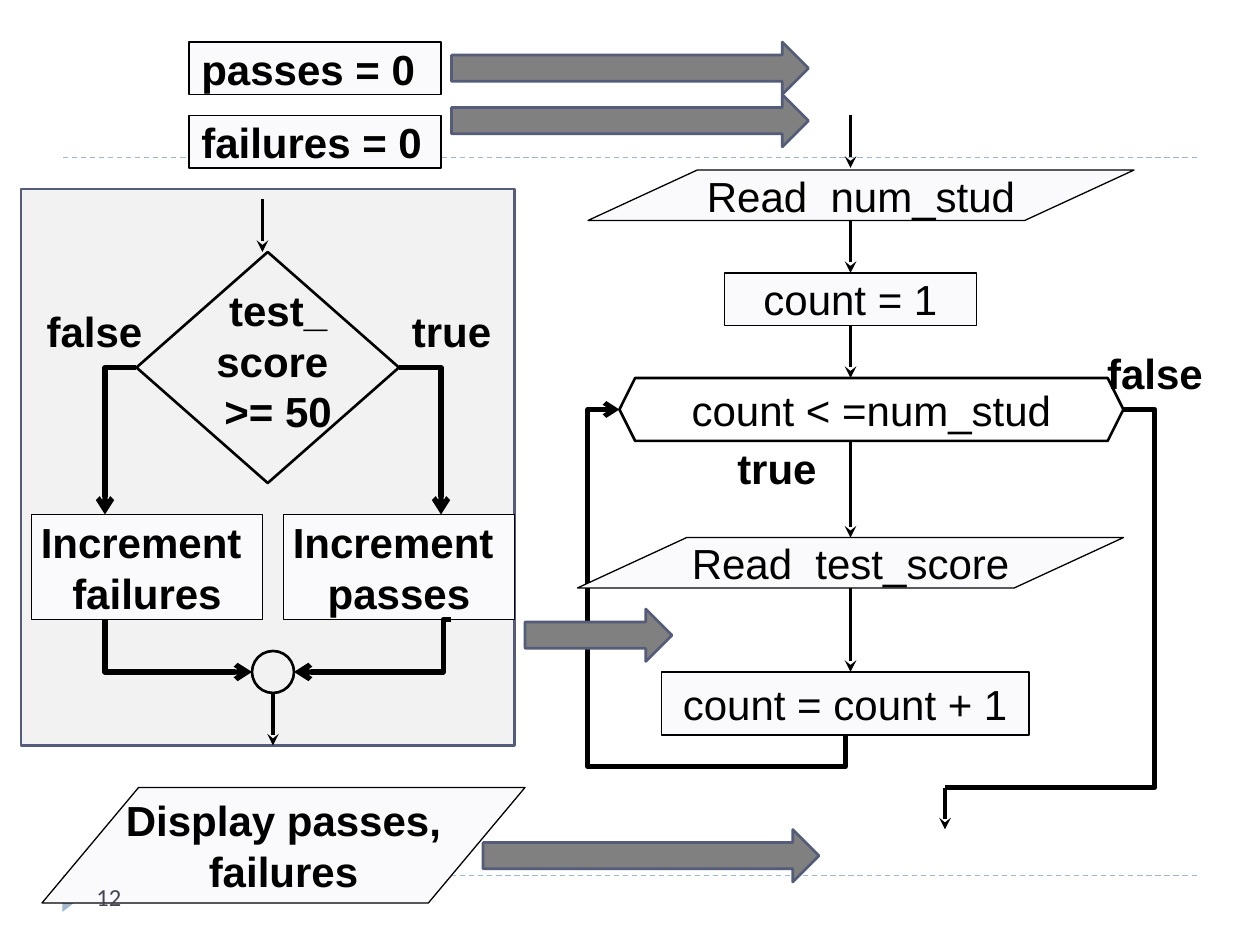
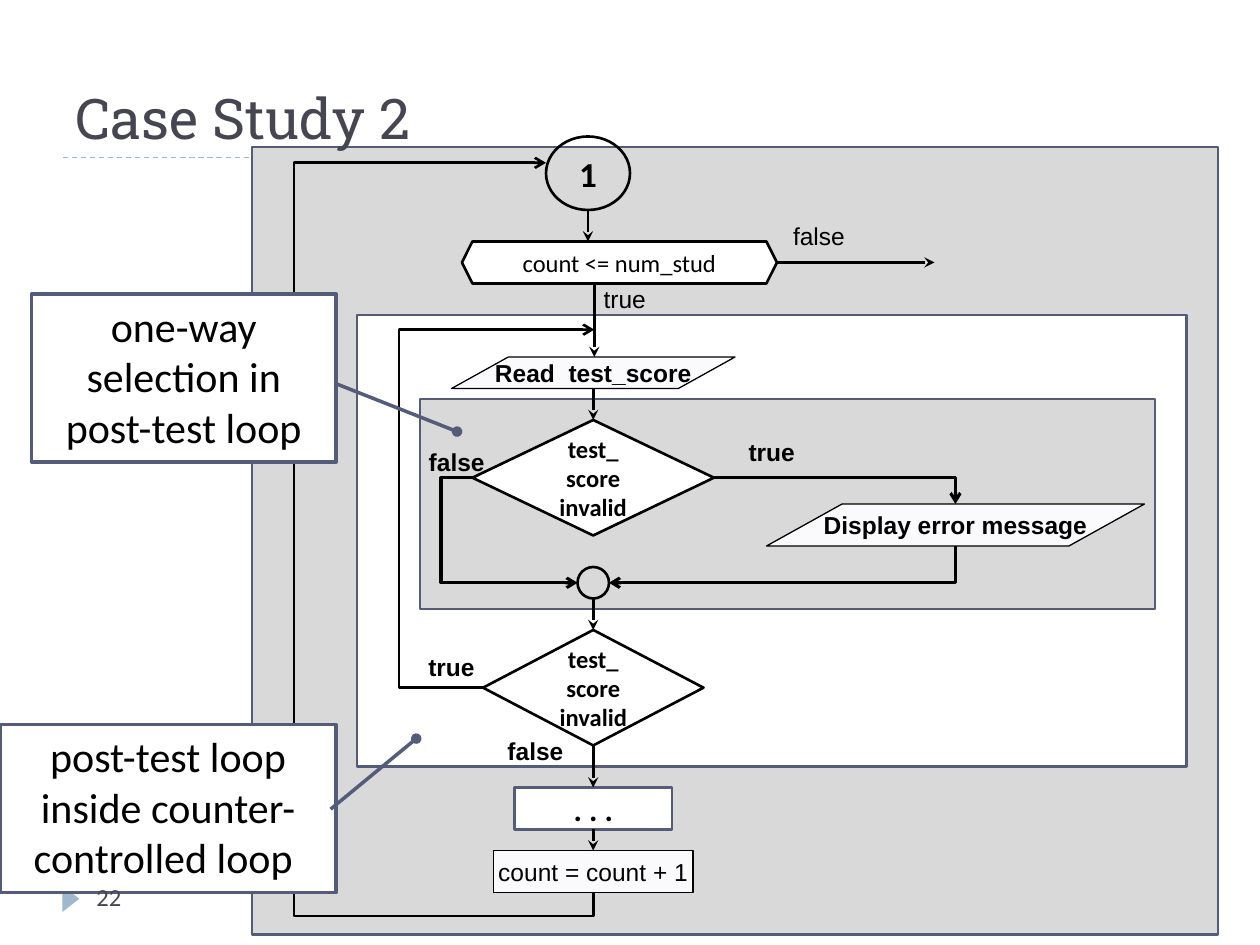
from lxml import etree
from pptx import Presentation
from pptx.dml.color import RGBColor
from pptx.enum.dml import MSO_LINE
from pptx.enum.shapes import MSO_CONNECTOR, MSO_SHAPE
from pptx.enum.text import MSO_ANCHOR, MSO_AUTO_SIZE, PP_ALIGN
from pptx.oxml.ns import qn
from pptx.util import Pt

PX = 7620  # 120 px to the inch
SLIDE_WIDTH, SLIDE_HEIGHT = 1200, 900
HANGING = 342900

BLACK = RGBColor(0x00, 0x00, 0x00)
WHITE = RGBColor(0xFF, 0xFF, 0xFF)
PALE = RGBColor(0xFA, 0xFA, 0xFC)
PANEL_LIGHT = RGBColor(0xF2, 0xF2, 0xF2)
PANEL_GREY = RGBColor(0xD9, 0xD9, 0xD9)
ARROW_GREY = RGBColor(0x80, 0x80, 0x80)
SLATE = RGBColor(0x54, 0x5C, 0x79)
INK = RGBColor(0x46, 0x46, 0x53)
SKY = RGBColor(0x9F, 0xB8, 0xCD)

BIG = {"name": "Arial", "size": Pt(24), "bold": False}
BIG_BOLD = BIG | {"bold": True}
SMALL = BIG | {"size": Pt(14)}
SMALL_BOLD = SMALL | {"bold": True}
CALIBRI = {"name": "Calibri", "size": Pt(14), "bold": False}
CALIBRI_BOLD = CALIBRI | {"bold": True}
CALLOUT_FONT = CALIBRI | {"size": Pt(24)}
TITLE_FONT = {"name": "Roboto Slab", "size": Pt(32), "bold": False}


def emu(*lengths):
    return [round(length * PX) for length in lengths]


def write(shape, text, font, color=BLACK, align=PP_ALIGN.CENTER,
          anchor=MSO_ANCHOR.MIDDLE, wrap=True):
    """Fill a shape with text; unwrapped text gets a hanging indent."""
    frame = shape.text_frame
    frame.text = text
    frame.word_wrap = wrap
    frame.vertical_anchor = anchor
    for paragraph in frame.paragraphs:
        paragraph.alignment = align
        if not wrap:
            properties = paragraph._p.get_or_add_pPr()
            properties.set("marL", str(HANGING))
            properties.set("indent", str(-HANGING))
        for run in paragraph.runs:
            for name, value in font.items():
                setattr(run.font, name, value)
            run.font.color.rgb = color


def add_line_end(shape, kind):
    line = shape.line._get_or_add_ln()
    etree.SubElement(line, qn("a:tailEnd"), type=kind)


class Region:
    """Draws parts at px positions relative to its own corner."""

    def __init__(self, slide, left, top):
        self.shapes = slide.shapes
        self.left, self.top = left, top

    def place(self, x, y):
        return self.left + x, self.top + y

    def shape(self, kind, box, fill=None, line=None, width=1.5):
        x, y, w, h = box
        shape = self.shapes.add_shape(kind, *emu(*self.place(x, y), w, h))
        shape.shadow.inherit = False
        if fill is None:
            shape.fill.background()
        else:
            shape.fill.solid()
            shape.fill.fore_color.rgb = fill
        if line is None:
            shape.line.fill.background()
        else:
            shape.line.color.rgb = line
            shape.line.width = Pt(width)
        return shape

    def panel(self, width, height, fill):
        self.shape(MSO_SHAPE.RECTANGLE, (0, 0, width, height), fill, SLATE)

    def process(self, box, text, font, align=PP_ALIGN.CENTER):
        shape = self.shape(MSO_SHAPE.FLOWCHART_PROCESS, box, PALE, BLACK, 0.75)
        write(shape, text, font, align=align, wrap=False)

    def data(self, box, text, font):
        shape = self.shape(MSO_SHAPE.FLOWCHART_DATA, box, PALE, BLACK, 0.75)
        write(shape, text, font, wrap=False)

    def label(self, box, text, font):
        shape = self.shape(MSO_SHAPE.FLOWCHART_PROCESS, box)
        write(shape, text, font, wrap=False)

    def outlined(self, kind, box, text="", font=None, fill=None):
        shape = self.shape(kind, box, fill, BLACK)
        if text:
            write(shape, text, font)

    def block_arrow(self, box):
        self.shape(MSO_SHAPE.RIGHT_ARROW, box, ARROW_GREY, SLATE)

    def text(self, box, text, font, **options):
        x, y, w, h = box
        shape = self.shapes.add_textbox(*emu(*self.place(x, y), w, h))
        write(shape, text, font, **options)

    def connector(self, kind, ends, color, width, end=None, dash=None):
        connector = self.shapes.add_connector(kind, *emu(*ends))
        connector.line.color.rgb = color
        connector.line.width = Pt(width)
        if dash:
            connector.line.dash_style = dash
        if end:
            add_line_end(connector, end)
        etree.SubElement(connector._element.spPr, qn("a:effectLst"))
        return connector

    def arrow(self, start, end, width=1.5):
        ends = (*self.place(*start), *self.place(*end))
        self.connector(MSO_CONNECTOR.STRAIGHT, ends, BLACK, width, "stealth")

    def bend(self, points, width, end="arrow"):
        """Elbow connector whose preset and adjustments follow the points."""
        points = [self.place(*point) for point in points]
        (x0, y0), (x1, y1) = points[0], points[-1]
        dx, dy = x1 - x0, y1 - y0
        upright = points[0][0] == points[1][0]
        ends = (x0, y0, x1, y1)
        if upright:  # lay the box on its side, then turn it by 90 degrees
            cx, cy = (x0 + x1) / 2, (y0 + y1) / 2
            ends = (cx - dy / 2, cy + dx / 2, cx + dy / 2, cy - dx / 2)
        connector = self.connector(MSO_CONNECTOR.ELBOW, ends, BLACK, width, end)
        properties = connector._element.spPr
        if upright:
            properties.find(qn("a:xfrm")).set("rot", "5400000")
        geometry = properties.find(qn("a:prstGeom"))
        geometry.set("prst", f"bentConnector{len(points) - 1}")
        guides = geometry.find(qn("a:avLst"))
        if guides is None:
            guides = etree.SubElement(geometry, qn("a:avLst"))
        for number, (x, y) in enumerate(points[1:-2], 1):
            along_y = upright == (number % 2 == 1)
            share = (y - y0) / dy if along_y else (x - x0) / dx
            etree.SubElement(guides, qn("a:gd"), name=f"adj{number}",
                             fmla=f"val {round(share * 100000)}")

    def callout(self, box, text, adjustments):
        shape = self.shape(MSO_SHAPE.LINE_CALLOUT_1, box, WHITE, SLATE, 2)
        for index, value in enumerate(adjustments):
            shape.adjustments[index] = value
        add_line_end(shape, "oval")
        write(shape, text, CALLOUT_FONT, anchor=MSO_ANCHOR.TOP)


# Shared page parts
def draw_frame(slide):
    page = Region(slide, 0, 0)
    for y in (834, 150):
        page.connector(MSO_CONNECTOR.STRAIGHT, (60, y, 1140, y), SKY, 0.75,
                       dash=MSO_LINE.DASH)
    marker = page.shape(MSO_SHAPE.ISOSCELES_TRIANGLE, (55, 848, 25, 16), SKY)
    marker.rotation = 90


def draw_page_number(slide, number):
    Region(slide, 80, 834).text((0, 0, 260, 48), number, CALIBRI, color=INK,
                                align=PP_ALIGN.LEFT, anchor=MSO_ANCHOR.TOP)


def draw_title(slide, text):
    title = slide.shapes.title
    box = dict(zip(("left", "top", "width", "height"), emu(60, 20, 1080, 130)))
    for name, value in box.items():
        setattr(title, name, value)
    write(title, text, TITLE_FONT, INK, PP_ALIGN.LEFT, MSO_ANCHOR.BOTTOM)
    title.text_frame.auto_size = MSO_AUTO_SIZE.NONE
    title._element.getparent().append(title._element)  # bring to the front


# Regions of the pass and failure chart
def draw_initial_values(slide, left, top):
    region = Region(slide, left, top)
    for row, name in enumerate(("passes", "failures")):
        region.process((0, 70 * row, 240, 50), f"{name} = 0", BIG_BOLD,
                       PP_ALIGN.LEFT)
        region.block_arrow((250, 50 * row, 340, 50))


def draw_counting_loop(slide, left, top):
    region = Region(slide, left, top)
    region.outlined(MSO_SHAPE.HEXAGON, (40, 250, 480, 60),
                    "count < =num_stud", BIG)
    region.process((140, 150, 240, 50), "count = 1", BIG)
    region.process((80, 530, 350, 60), "count = count + 1", BIG)
    region.data((10, 52, 520, 48), "Read  num_stud", BIG)
    # Loop back and exit
    region.bend([(255, 590), (255, 620), (10, 620), (10, 280), (40, 280)], 2.75)
    region.bend([(520, 280), (550, 280), (550, 640), (350, 640)], 2.75, None)
    region.arrow((350, 640), (350, 680), 2.25)
    for y0, y1 in ((0, 50), (100, 150), (200, 250), (310, 402), (450, 530)):
        region.arrow((260, y0), (260, y1), 2.25)
    region.data((0, 402, 520, 48), "Read  test_score", BIG)
    region.label((70, 310, 240, 50), "true", BIG_BOLD)
    region.label((480, 220, 140, 50), "false", BIG_BOLD)


def draw_score_selection(slide, left, top):
    region = Region(slide, left, top)
    region.panel(470, 530, PANEL_LIGHT)
    region.outlined(MSO_SHAPE.DIAMOND, (110, 60, 250, 220))
    region.text((90, 113, 310, 100), "test_\nscore \n>= 50", BIG_BOLD)
    for x, name in ((10, "failures"), (250, "passes")):
        region.process((x, 310, 220, 100), f"Increment \n{name}", BIG_BOLD)
    region.outlined(MSO_SHAPE.OVAL, (220, 440, 40, 40))
    # Branches out and back together
    for points in ([(360, 170), (400, 170), (400, 310)],
                   [(110, 170), (80, 170), (80, 310)],
                   [(80, 410), (80, 460), (220, 460)],
                   [(410, 410), (402, 410), (402, 460), (260, 460)]):
        region.bend(points, 3)
    region.arrow((230, 10), (230, 60), 2.25)
    region.arrow((240, 480), (240, 530), 2.25)
    for x, answer in ((0, "false"), (340, "true")):
        region.label((x, 110, 140, 50), answer, BIG_BOLD)
    region.block_arrow((480, 400, 140, 50))


def draw_result_display(slide, left, top):
    region = Region(slide, left, top)
    region.data((0, 0, 460, 110), "Display passes,\nfailures", BIG_BOLD)
    region.block_arrow((420, 40, 320, 50))


# Regions of the nested loop chart
def draw_counter_loop(slide, left, top):
    region = Region(slide, left, top)
    region.panel(920, 750, PANEL_GREY)
    region.outlined(MSO_SHAPE.HEXAGON, (200, 90, 300, 40),
                    "count <= num_stud", CALIBRI, WHITE)
    region.process((230, 670, 190, 40), "count = count + 1", SMALL)
    region.label((470, 60, 140, 50), "false", SMALL)
    region.bend([(325, 710), (325, 732), (40, 732), (40, 15), (280, 15)], 1.5)
    dots = region.shape(MSO_SHAPE.RECTANGLE, (250, 610, 150, 40), WHITE, SLATE)
    write(dots, ". . .", CALIBRI_BOLD | {"size": Pt(18)})
    region.outlined(MSO_SHAPE.OVAL, (280, -10, 80, 70), "1",
                    CALIBRI_BOLD | {"size": Pt(20)})
    region.arrow((320, 60), (320, 90))
    region.arrow((500, 110), (650, 110))
    region.arrow((325, 650), (325, 670))


def draw_post_test_loop(slide, left, top):
    region = Region(slide, left, top)
    region.panel(790, 430, WHITE)
    region.data((90, 40, 270, 30), "Read  test_score", SMALL_BOLD)
    region.outlined(MSO_SHAPE.DIAMOND, (120, 300, 210, 110),
                    "test_\nscore invalid", CALIBRI_BOLD, WHITE)
    region.label((210, -40, 90, 50), "true", SMALL)
    region.label((20, 310, 140, 50), "true", SMALL_BOLD)
    region.label((100, 390, 140, 50), "false", SMALL_BOLD)
    region.bend([(120, 355), (40, 355), (40, 14), (226, 14)], 1.5)
    region.arrow((226, -30), (226, 40))
    region.arrow((225, 410), (225, 450))


def draw_one_way_selection(slide, left, top):
    region = Region(slide, left, top)
    region.panel(700, 200, PANEL_GREY)
    region.outlined(MSO_SHAPE.DIAMOND, (50, 20, 230, 110),
                    "test_\nscore invalid", CALIBRI_BOLD, WHITE)
    region.data((330, 100, 360, 40), "Display error message", SMALL_BOLD)
    region.outlined(MSO_SHAPE.OVAL, (150, 160, 30, 30))
    for points in ([(280, 75), (510, 75), (510, 100)],
                   [(510, 140), (510, 175), (180, 175)],
                   [(50, 75), (20, 75), (20, 175), (150, 175)]):
        region.bend(points, 1.75)
    region.arrow((165, -10), (165, 20))
    region.arrow((165, 190), (165, 220))
    region.label((270, 30, 130, 40), "true", SMALL_BOLD)
    region.label((-30, 40, 130, 40), "false", SMALL_BOLD)


def draw_callouts(slide, left, top):
    region = Region(slide, left, top)
    region.callout((0, 410, 320, 160),
                   "post-test loop inside counter-controlled loop ",
                   (0.504, 0.984, 0.084, 1.239))
    region.callout((30, 0, 290, 160), "one-way selection in post-test loop",
                   (0.535, 1.002, 0.819, 1.398))


# Slides
def build_score_chart(presentation):
    slide = presentation.slides.add_slide(presentation.slide_layouts[6])
    draw_frame(slide)
    draw_initial_values(slide, 180, 40)
    draw_counting_loop(slide, 550, 110)
    draw_score_selection(slide, 20, 180)
    draw_result_display(slide, 40, 750)
    draw_page_number(slide, "12")


def build_nested_loop_chart(presentation):
    slide = presentation.slides.add_slide(presentation.slide_layouts[5])
    draw_frame(slide)
    draw_counter_loop(slide, 240, 140)
    draw_post_test_loop(slide, 340, 300)
    draw_one_way_selection(slide, 400, 380)
    draw_title(slide, "Case Study 2")
    draw_callouts(slide, 0, 280)
    draw_page_number(slide, "22")


def main():
    presentation = Presentation()
    presentation.slide_width, presentation.slide_height = emu(SLIDE_WIDTH, SLIDE_HEIGHT)
    build_score_chart(presentation)
    build_nested_loop_chart(presentation)
    presentation.save("out.pptx")


if __name__ == "__main__":
    main()
